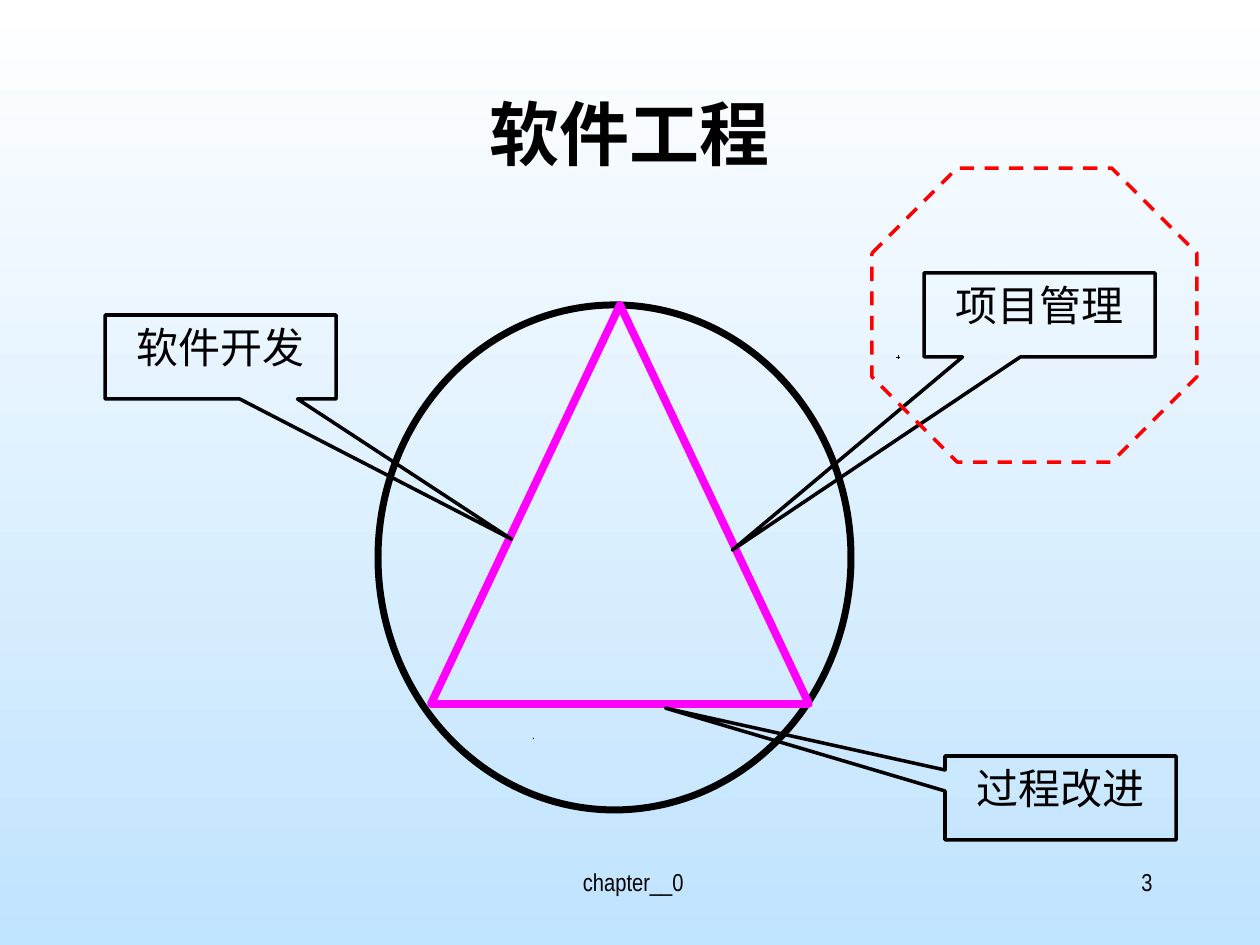
import pptx
import pptx.util
import pptx.dml.color
import pptx.enum.dml
import pptx.enum.shapes
import pptx.enum.text
import pptx.oxml.ns
import lxml.etree

EMU_PER_PX = 914400 / 126
CJK_FONT = "Noto Sans CJK SC"
LATIN_FONT = "Arial Narrow"
SHAPES = pptx.enum.shapes.MSO_SHAPE
ALIGN = pptx.enum.text.PP_ALIGN


def px(*lengths):
    """Convert pixel lengths to EMU."""
    return [pptx.util.Emu(round(length * EMU_PER_PX)) for length in lengths]


def rgb(value):
    """Turn a hex string into a colour."""
    return pptx.dml.color.RGBColor.from_string(value)


def write(frame, text, align, **font_format):
    """Write one wrapped, top-anchored paragraph."""
    frame.word_wrap = True
    frame.vertical_anchor = pptx.enum.text.MSO_ANCHOR.TOP
    paragraph = frame.paragraphs[0]
    paragraph.alignment = align
    run = paragraph.add_run()
    run.text = text
    for name, value in font_format.items():
        setattr(run.font, name, value)
    run.font.color.rgb = rgb("000000")
    properties = run.font._element if hasattr(run.font, "_element") else run._r.get_or_add_rPr()
    east_asian = lxml.etree.SubElement(properties, pptx.oxml.ns.qn("a:ea"))
    east_asian.set("typeface", CJK_FONT)


def add_label(slide, box, text, align, **font_format):
    """Add a text box."""
    label = slide.shapes.add_textbox(*px(*box))
    write(label.text_frame, text, align, **font_format)


def add_outline(slide, kind, box, color, width, adjustments=()):
    """Add an unfilled preset shape."""
    outline = slide.shapes.add_shape(kind, *px(*box))
    outline.shadow.inherit = False
    outline.fill.background()
    outline.line.color.rgb = rgb(color)
    outline.line.width = pptx.util.Pt(width)
    for index, value in enumerate(adjustments):
        outline.adjustments[index] = value
    return outline


def add_callout(slide, left, top, text, pointer):
    """Add a callout whose tip is given as offsets from its centre."""
    callout = add_outline(slide, SHAPES.RECTANGULAR_CALLOUT,
                          (left, top, 231, 84), "000000", 2, pointer)
    write(callout.text_frame, text, ALIGN.CENTER,
          name=LATIN_FONT, size=pptx.util.Pt(24))


def add_tick(slide, start, end):
    """Add a hairline tick."""
    tick = slide.shapes.add_connector(
        pptx.enum.shapes.MSO_CONNECTOR.STRAIGHT, *px(*start, *end))
    tick.line.color.rgb = rgb("000000")
    tick.line.width = 0
    lxml.etree.SubElement(tick._element.spPr, pptx.oxml.ns.qn("a:effectLst"))


def add_speck(slide, box):
    """Add a tiny solid mark."""
    speck = slide.shapes.add_shape(SHAPES.RECTANGLE, *px(*box))
    speck.shadow.inherit = False
    speck.fill.solid()
    speck.fill.fore_color.rgb = rgb("000000")
    speck.line.fill.background()


def paint_background(slide, *colors):
    """Fill the background with a gradient from top to bottom."""
    fill = slide.background.fill
    fill.gradient()
    fill.gradient_angle = 270
    for stop, color, position in zip(fill.gradient_stops, colors, (0, 1)):
        stop.color.rgb = rgb(color)
        stop.position = position


def main():
    """Build the software engineering slide."""
    deck = pptx.Presentation()
    deck.slide_width, deck.slide_height = px(1260, 945)
    slide = deck.slides.add_slide(deck.slide_layouts[6])
    paint_background(slide, "FFFFFF", "C0E3FE")

    footer_format = {"name": LATIN_FONT, "size": pptx.util.Pt(14)}
    add_label(slide, (431, 861, 399, 63), " chapter__0", ALIGN.CENTER, **footer_format)
    add_label(slide, (903, 861, 262, 63), "3", ALIGN.RIGHT, **footer_format)
    add_label(slide, (94, 84, 1071, 158), "软件工程", ALIGN.CENTER,
              name=CJK_FONT, size=pptx.util.Pt(40), bold=True)

    for end in ((899, 357), (898, 358)):
        add_tick(slide, (898, 357), end)
    add_speck(slide, (533, 738, 1, 1))

    add_outline(slide, SHAPES.OVAL, (378, 305, 473, 505), "000000", 4)
    add_outline(slide, SHAPES.ISOSCELES_TRIANGLE, (431, 305, 378, 399), "FF00FF", 4.5)
    for left, top, text, pointer in (
        (105, 315, "软件开发", (1.26, 2.17)),
        (924, 273, "项目管理", (-1.33, 2.8)),
        (945, 756, "过程改进", (-1.71, -1.07)),
    ):
        add_callout(slide, left, top, text, pointer)
    highlight = add_outline(slide, SHAPES.OCTAGON, (872, 168, 325, 294), "FF0000", 2, (0.29,))
    highlight.line.dash_style = pptx.enum.dml.MSO_LINE.DASH

    deck.save("out.pptx")


if __name__ == "__main__":
    main()
